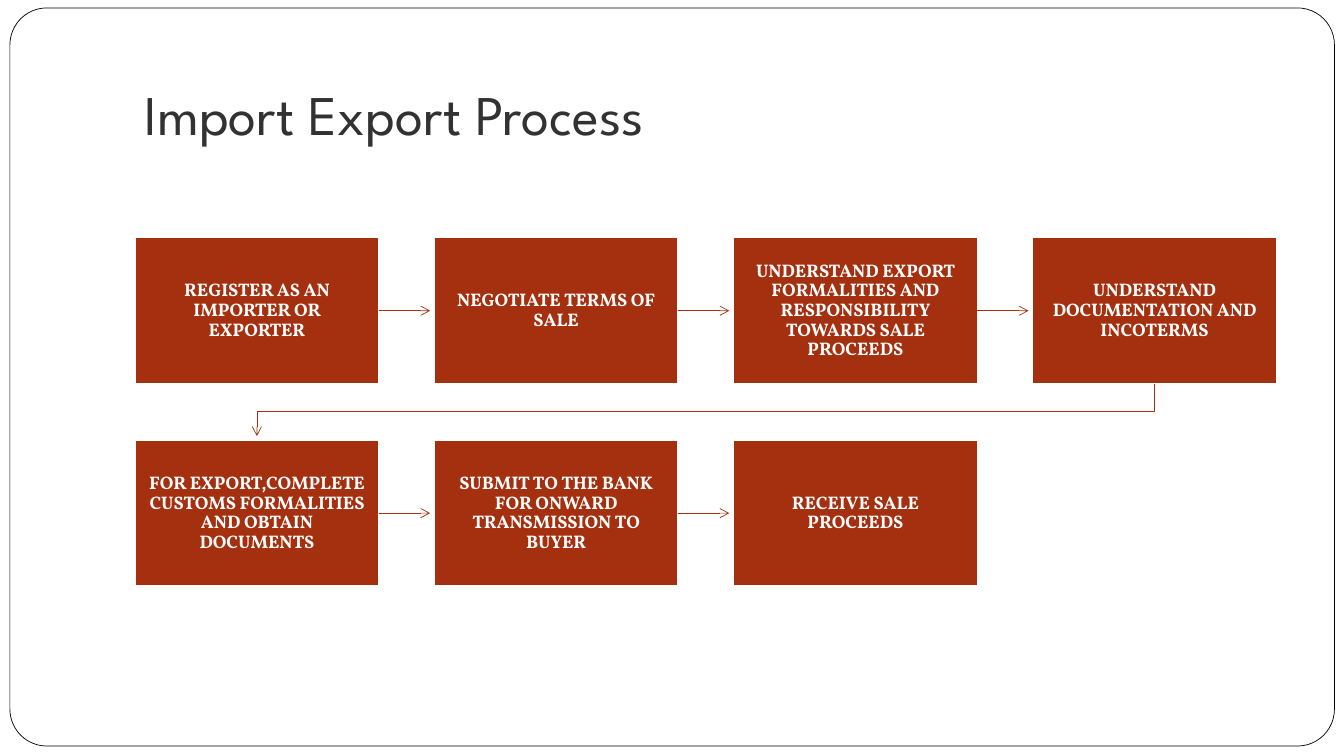
import pptx
import pptx.util
import pptx.dml.color
import pptx.enum.shapes
import pptx.enum.text
import pptx.oxml.ns
import lxml.etree

Cm = pptx.util.Cm
Pt = pptx.util.Pt
RGBColor = pptx.dml.color.RGBColor
Shape = pptx.enum.shapes.MSO_SHAPE
Anchor = pptx.enum.text.MSO_ANCHOR
Align = pptx.enum.text.PP_ALIGN
qn = pptx.oxml.ns.qn

RUST = RGBColor(0xA5, 0x30, 0x0F)
WHITE = RGBColor(0xFF, 0xFF, 0xFF)
BLACK = RGBColor(0x00, 0x00, 0x00)
CHARCOAL = RGBColor(0x32, 0x32, 0x32)

TITLE = "Import Export Process"
STEPS = [
    "REGISTER AS AN IMPORTER OR EXPORTER",
    "NEGOTIATE TERMS OF SALE",
    "UNDERSTAND EXPORT FORMALITIES AND RESPONSIBILITY TOWARDS SALE PROCEEDS",
    "UNDERSTAND DOCUMENTATION AND INCOTERMS",
    "FOR EXPORT,COMPLETE CUSTOMS FORMALITIES AND OBTAIN DOCUMENTS",
    "SUBMIT TO THE BANK FOR ONWARD TRANSMISSION TO BUYER",
    "RECEIVE SALE PROCEEDS",
]

# Step grid, in centimetres
COLUMNS = 4
LEFT, TOP = 3.4, 5.99
WIDTH, HEIGHT = 6.15, 3.68
COLUMN_STEP, ROW_STEP = 7.54, 5.1
ARROW_GAP = 0.1


class ProcessSlide:
    """Holds the style and the current slide."""

    title_font = {"name": "League Spartan", "size": Pt(40), "bold": False}
    step_font = {"name": "Vollkorn", "size": Pt(13), "bold": True}
    title_frame = {"margin_left": Cm(0.25), "margin_right": Cm(0.25),
                   "margin_top": Cm(0.13), "margin_bottom": Cm(0.25),
                   "vertical_anchor": Anchor.BOTTOM, "word_wrap": True}
    step_frame = {"margin_left": Cm(0.25), "margin_right": Cm(0.25),
                  "margin_top": Cm(0.25), "margin_bottom": Cm(0.25),
                  "vertical_anchor": Anchor.MIDDLE, "word_wrap": True}

    def __init__(self, deck):
        self.slide = deck.slides.add_slide(deck.slide_layouts[5])
        self.shapes = self.slide.shapes

    def apply(self, target, values):
        for name, value in values.items():
            setattr(target, name, value)

    def fill_text(self, shape, text, frame_format, font_format, color, para_format):
        frame = shape.text_frame
        self.apply(frame, frame_format)
        para = frame.paragraphs[0]
        self.apply(para, para_format)
        span = para.add_run()
        span.text = text
        self.apply(span.font, font_format)
        span.font.color.rgb = color

    def box(self, kind, left, top, width, height, fill, line, weight):
        box = self.shapes.add_shape(kind, Cm(left), Cm(top), Cm(width), Cm(height))
        box.shadow.inherit = False
        box.fill.solid()
        box.fill.fore_color.rgb = fill
        box.line.color.rgb = line
        box.line.width = Pt(weight)
        return box

    def frame(self):
        frame = self.box(Shape.ROUNDED_RECTANGLE, 0.25, 0.2, 33.38, 18.6,
                         WHITE, BLACK, 0.5)
        frame.adjustments[0] = 0.05

    def title(self, text):
        title = self.shapes.title
        self.apply(title, {"left": Cm(3.39), "top": Cm(0.76),
                           "width": Cm(28.78), "height": Cm(3.18)})
        self.fill_text(title, text, self.title_frame, self.title_font, CHARCOAL,
                       {"alignment": Align.LEFT})
        # Bring the title in front of the frame
        self.shapes.element.append(title.element)

    def step(self, left, top, text):
        box = self.box(Shape.RECTANGLE, left, top, WIDTH, HEIGHT, RUST, WHITE, 1)
        self.fill_text(box, text, self.step_frame, self.step_font, WHITE,
                       {"alignment": Align.CENTER, "line_spacing": 0.9})

    def arrow_style(self, shape):
        shape.line.color.rgb = RUST
        shape.line.width = Pt(0.5)
        properties = shape.element.spPr
        line = properties.find(qn("a:ln"))
        lxml.etree.SubElement(line, qn("a:tailEnd"), type="arrow")
        if properties.find(qn("a:effectLst")) is None:
            lxml.etree.SubElement(properties, qn("a:effectLst"))

    def arrow(self, start, end, y):
        arrow = self.shapes.add_connector(
            pptx.enum.shapes.MSO_CONNECTOR.STRAIGHT,
            Cm(start), Cm(y), Cm(end), Cm(y))
        self.arrow_style(arrow)

    def bent_arrow(self, points):
        start, *corners = [(Cm(x), Cm(y)) for x, y in points]
        builder = self.shapes.build_freeform(*start)
        builder.add_line_segments(corners, close=False)
        arrow = builder.convert_to_shape()
        arrow.fill.background()
        self.arrow_style(arrow)


def main():
    deck = pptx.Presentation()
    deck.slide_width, deck.slide_height = Cm(33.87), Cm(19.05)
    page = ProcessSlide(deck)

    # Frame and title
    page.frame()
    page.title(TITLE)

    # Steps, each with the arrow to the next one
    for index, text in enumerate(STEPS):
        row, column = divmod(index, COLUMNS)
        left = LEFT + column * COLUMN_STEP
        top = TOP + row * ROW_STEP
        page.step(left, top, text)
        if index == len(STEPS) - 1:
            continue
        if column < COLUMNS - 1:
            page.arrow(left + WIDTH, left + COLUMN_STEP - ARROW_GAP, top + HEIGHT / 2)
        else:
            bottom, next_top = top + HEIGHT, top + ROW_STEP
            middle = (bottom + next_top) / 2
            source, target = left + WIDTH / 2, LEFT + WIDTH / 2
            page.bent_arrow([(source, bottom), (source, middle),
                             (target, middle), (target, next_top - ARROW_GAP)])

    deck.save("out.pptx")


if __name__ == "__main__":
    main()
